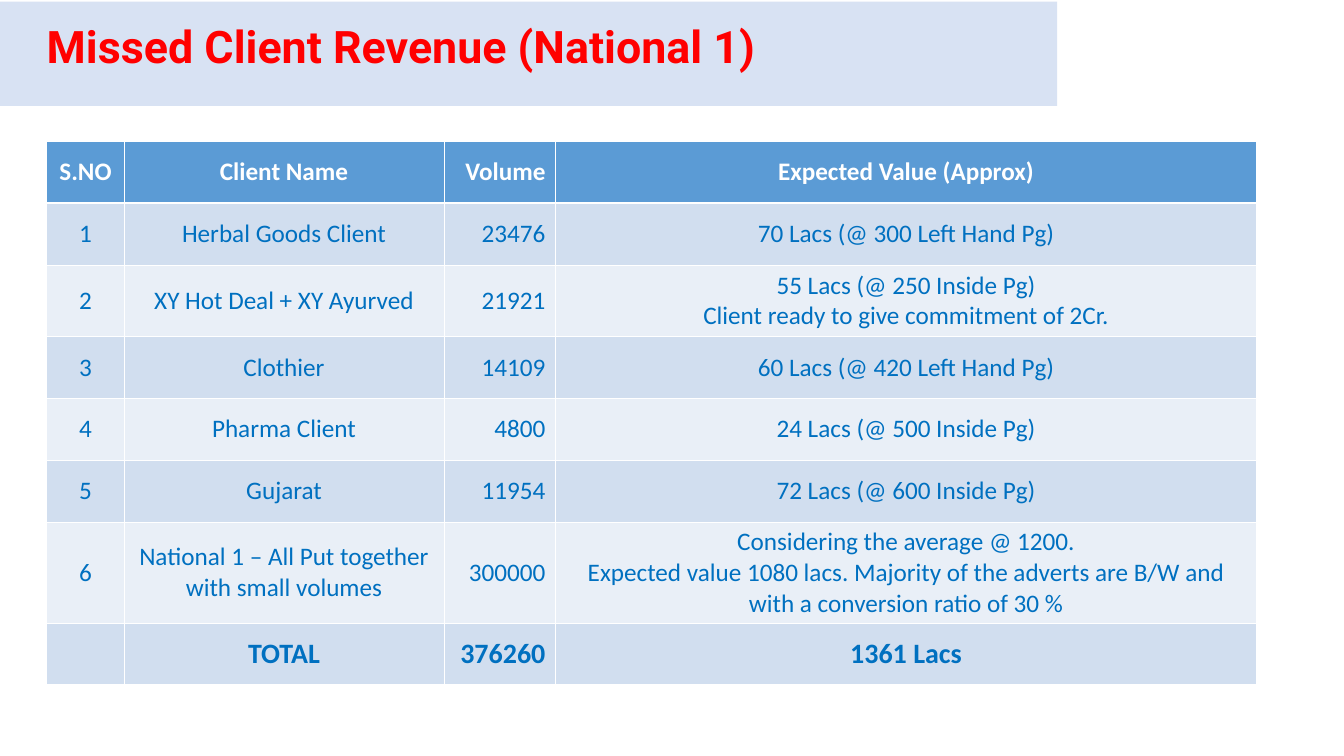
"""Build the missed client revenue slide with its title band and table."""
from typing import NamedTuple

from lxml import etree
from pptx import Presentation
from pptx import util as u
from pptx.dml.color import RGBColor
from pptx.enum import shapes, text
from pptx.oxml import ns

WHITE = "FFFFFF"
HEADER_FILL = "5B9BD5"
BAND_FILLS = ("E9EFF7", "D1DEEF")
BODY_COLOR = "0070C0"
THIN, THICK = 0.45, 1.47
COLUMN_WIDTHS = (55.4, 228.4, 79.9, 501)
COLUMN_ALIGNS = (
    text.PP_ALIGN.CENTER,
    text.PP_ALIGN.CENTER,
    text.PP_ALIGN.RIGHT,
    text.PP_ALIGN.CENTER,
)


class Row(NamedTuple):
    number: str
    client: str
    volume: str
    value: str
    height: float = 44.1


class Style(NamedTuple):
    fill: str
    color: str
    size: float
    bold: bool
    top: float
    bottom: float


ROWS = [
    Row("S.NO", "Client Name", "Volume", "Expected Value (Approx)"),
    Row("1", "Herbal Goods Client", "23476", "70 Lacs (@ 300 Left Hand Pg)"),
    Row("2", "XY Hot Deal + XY Ayurved", "21921",
        "55 Lacs (@ 250 Inside Pg)\nClient ready to give commitment of 2Cr.", 51.4),
    Row("3", "Clothier", "14109", "60 Lacs (@ 420 Left Hand Pg)"),
    Row("4", "Pharma Client", "4800", "24 Lacs (@ 500 Inside Pg)"),
    Row("5", "Gujarat", "11954", "72 Lacs (@ 600 Inside Pg)"),
    Row("6", "National 1 – All Put together with small volumes", "300000",
        "Considering the average @ 1200.\nExpected value 1080 lacs. Majority of "
        "the adverts are B/W and with a conversion ratio of 30 %", 72.2),
    Row("", "TOTAL", "376260", "1361 Lacs"),
]


def rgb(color: str) -> RGBColor:
    """Turn a hex string into a colour."""
    return RGBColor.from_string(color)


def set_font(para, name: str, size: float, color: str, bold: bool) -> None:
    """Set the font of a whole paragraph."""
    para.font.name = name
    para.font.size = u.Pt(size)
    para.font.bold = bold
    para.font.color.rgb = rgb(color)


def row_style(index: int) -> Style:
    """Choose the look of a table row from its position."""
    if index == 0:
        return Style(HEADER_FILL, WHITE, 18, True, THIN, THICK)
    is_total = index == len(ROWS) - 1
    return Style(BAND_FILLS[index % 2], BODY_COLOR, 20 if is_total else 18,
                 is_total, THICK if index == 1 else THIN, THIN)


def add_borders(cell, style: Style) -> None:
    """Draw white lines on the four sides of a cell."""
    properties = cell._tc.get_or_add_tcPr()
    sides = {"lnL": THIN, "lnR": THIN, "lnT": style.top, "lnB": style.bottom}
    for side, width in sides.items():
        line = etree.SubElement(properties, ns.qn(f"a:{side}"), w=str(u.Pt(width)))
        fill = etree.SubElement(line, ns.qn("a:solidFill"))
        etree.SubElement(fill, ns.qn("a:srgbClr"), val=WHITE)


def fill_cell(cell, words: str, align: text.PP_ALIGN, style: Style) -> None:
    """Write and format one table cell."""
    add_borders(cell, style)
    cell.fill.solid()
    cell.fill.fore_color.rgb = rgb(style.fill)
    cell.vertical_anchor = text.MSO_ANCHOR.MIDDLE
    cell.text = words
    for para in cell.text_frame.paragraphs:
        para.alignment = align
        set_font(para, "Calibri", style.size, style.color, style.bold)


def add_title(page) -> None:
    """Place the title over a pale band."""
    band = page.shapes.add_shape(
        shapes.MSO_SHAPE.RECTANGLE, 0, u.Pt(1.2), u.Pt(755.6), u.Pt(74.4))
    band.shadow.inherit = False
    band.fill.solid()
    band.fill.fore_color.rgb = rgb("D8E2F3")
    band.line.fill.background()

    title = page.shapes.title
    title.element.addprevious(band.element)
    title.left, title.top = u.Pt(26.2), u.Pt(9.5)
    title.width, title.height = u.Pt(724), u.Pt(46)
    frame = title.text_frame
    frame.text = "Missed Client Revenue (National 1)"
    frame.word_wrap = True
    frame.auto_size = text.MSO_AUTO_SIZE.SHAPE_TO_FIT_TEXT
    frame.vertical_anchor = text.MSO_ANCHOR.TOP
    para = frame.paragraphs[0]
    para.alignment = text.PP_ALIGN.LEFT
    set_font(para, "Roboto", 32, "FF0000", True)


def add_revenue_table(page) -> None:
    """Add the table of clients, volumes and expected values."""
    table = page.shapes.add_table(
        len(ROWS), len(COLUMN_WIDTHS), u.Pt(33.4), u.Pt(101),
        u.Pt(sum(COLUMN_WIDTHS)), u.Pt(sum(row.height for row in ROWS))).table
    for column, width in zip(table.columns, COLUMN_WIDTHS):
        column.width = u.Pt(width)
    for index, row in enumerate(ROWS):
        table.rows[index].height = u.Pt(row.height)
        style = row_style(index)
        for cell, words, align in zip(table.rows[index].cells, row, COLUMN_ALIGNS):
            fill_cell(cell, words, align, style)


def main() -> None:
    """Build and save the deck."""
    deck = Presentation()
    deck.slide_width, deck.slide_height = u.Pt(960.5), u.Pt(540)
    page = deck.slides.add_slide(deck.slide_layouts.get_by_name("Title Only"))
    add_title(page)
    add_revenue_table(page)
    deck.save("out.pptx")


if __name__ == "__main__":
    main()
